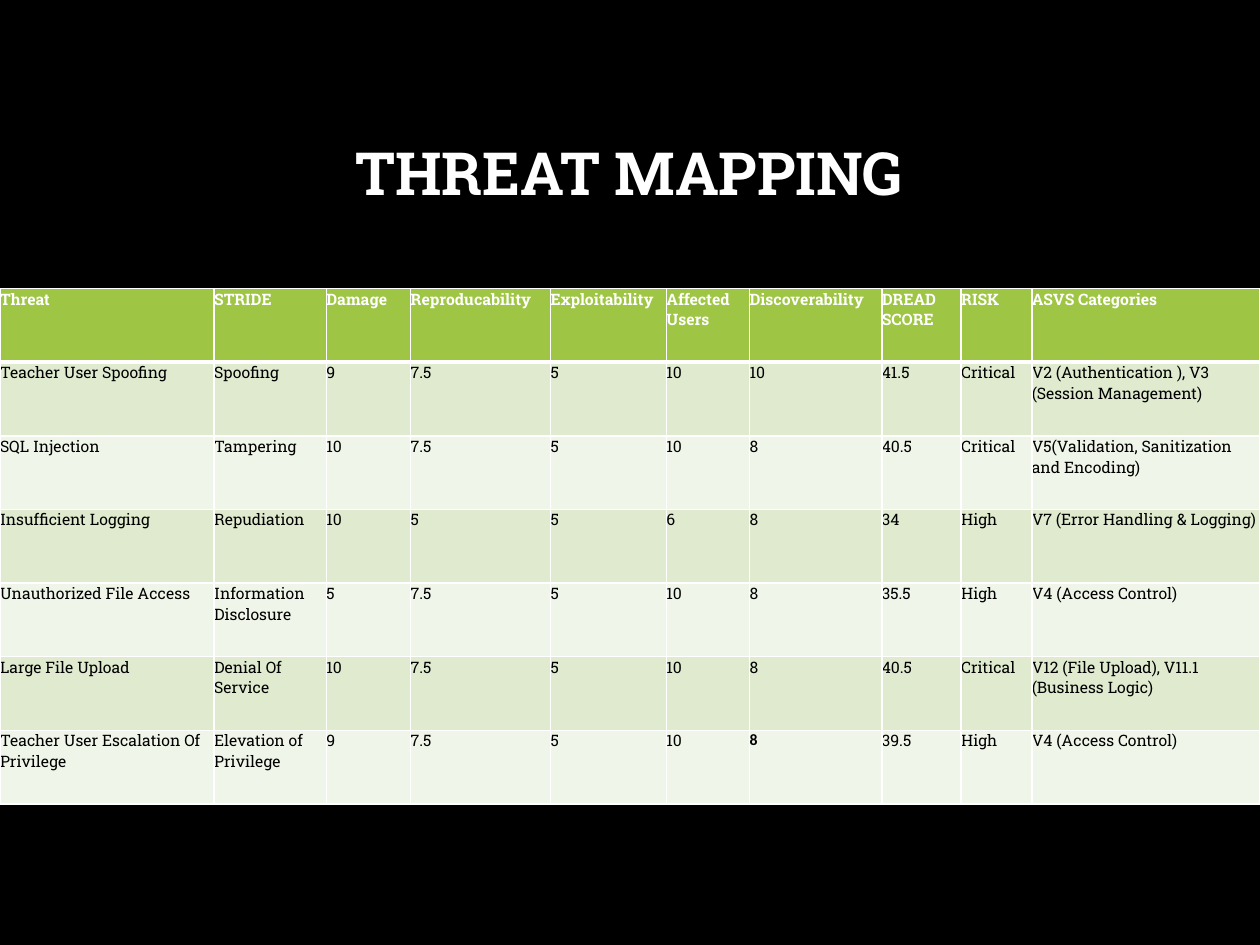
from lxml import etree
from pptx import Presentation
from pptx.dml.color import RGBColor
from pptx.enum.text import MSO_ANCHOR, PP_ALIGN
from pptx.oxml.ns import qn
from pptx.util import Inches, Pt

COLORS = {
    "background": "000000",
    "header": "9EC544",
    "odd_row": "DFEACF",
    "even_row": "F0F5E9",
    "light": "FFFFFF",
    "dark": "000000",
}
FONT = "Roboto Slab"
COLUMN_WIDTHS = [1.7, 0.89, 0.67, 1.11, 0.92, 0.66, 1.05, 0.63, 0.56, 1.81]
ROWS = [
    ["Threat", "STRIDE", "Damage", "Reproducability", "Exploitability", "Affected Users",
     "Discoverability", "DREAD SCORE", "RISK", "ASVS Categories"],
    ["Teacher User Spoofing", "Spoofing", "9", "7.5", "5", "10", "10", "41.5", "Critical",
     "V2 (Authentication ), V3 (Session Management)"],
    ["SQL Injection", "Tampering", "10", "7.5", "5", "10", "8", "40.5", "Critical",
     "V5(Validation, Sanitization and Encoding)"],
    ["Insufficient Logging", "Repudiation", "10", "5", "5", "6", "8", "34", "High",
     "V7 (Error Handling & Logging)"],
    ["Unauthorized File Access", "Information Disclosure", "5", "7.5", "5", "10", "8", "35.5",
     "High", "V4 (Access Control)"],
    ["Large File Upload", "Denial Of Service", "10", "7.5", "5", "10", "8", "40.5", "Critical",
     "V12 (File Upload), V11.1 (Business Logic)"],
    ["Teacher User Escalation Of Privilege", "Elevation of Privilege", "9", "7.5", "5", "10",
     "8", "39.5", "High", "V4 (Access Control)"],
]


def style_font(font, size, color, bold):
    font.name = FONT
    font.size = Pt(size)
    font.bold = bold
    font.color.rgb = RGBColor.from_string(COLORS[color])


def add_borders(cell, top, bottom):
    """Draw light borders; top and bottom are widths in points, the sides are 1."""
    properties = cell._tc.get_or_add_tcPr()
    for side, width in (("L", 1), ("R", 1), ("T", top), ("B", bottom)):
        line = etree.SubElement(properties, qn(f"a:ln{side}"), w=str(Pt(width)))
        fill = etree.SubElement(line, qn("a:solidFill"))
        etree.SubElement(fill, qn("a:srgbClr"), val=COLORS["light"])


presentation = Presentation()
presentation.slide_width = Inches(10)
presentation.slide_height = Inches(7.5)
slide = presentation.slides.add_slide(presentation.slide_layouts[6])
slide.background.fill.solid()
slide.background.fill.fore_color.rgb = RGBColor.from_string(COLORS["background"])

title = slide.shapes.add_textbox(Inches(0.75), Inches(0.67), Inches(8.49), Inches(1.45))
title.text_frame.word_wrap = True
title.text_frame.vertical_anchor = MSO_ANCHOR.MIDDLE
paragraph = title.text_frame.paragraphs[0]
paragraph.text = "THREAT MAPPING"
paragraph.alignment = PP_ALIGN.CENTER
paragraph.line_spacing = 0.9
style_font(paragraph.font, 34, "light", True)

table = slide.shapes.add_table(
    len(ROWS), len(COLUMN_WIDTHS), Inches(0), Inches(2.29), Inches(10), Inches(4.09)
).table
for column, width in zip(table.columns, COLUMN_WIDTHS):
    column.width = Inches(width)

for row_index, row in enumerate(ROWS):
    is_header = row_index == 0
    row_fill = "header" if is_header else "odd_row" if row_index % 2 else "even_row"
    for column_index, text in enumerate(row):
        cell = table.cell(row_index, column_index)
        cell.margin_left = cell.margin_right = cell.margin_top = cell.margin_bottom = 0
        add_borders(cell, top=3 if row_index == 1 else 1, bottom=3 if is_header else 1)
        cell.fill.solid()
        cell.fill.fore_color.rgb = RGBColor.from_string(COLORS[row_fill])
        paragraph = cell.text_frame.paragraphs[0]
        paragraph.text = text
        style_font(paragraph.font, 9, "light" if is_header else "dark", is_header)

# The last discoverability score stands out from the other scores
score_font = table.cell(len(ROWS) - 1, 6).text_frame.paragraphs[0].font
score_font.name = "Calibri"
score_font.bold = True

presentation.save("out.pptx")
